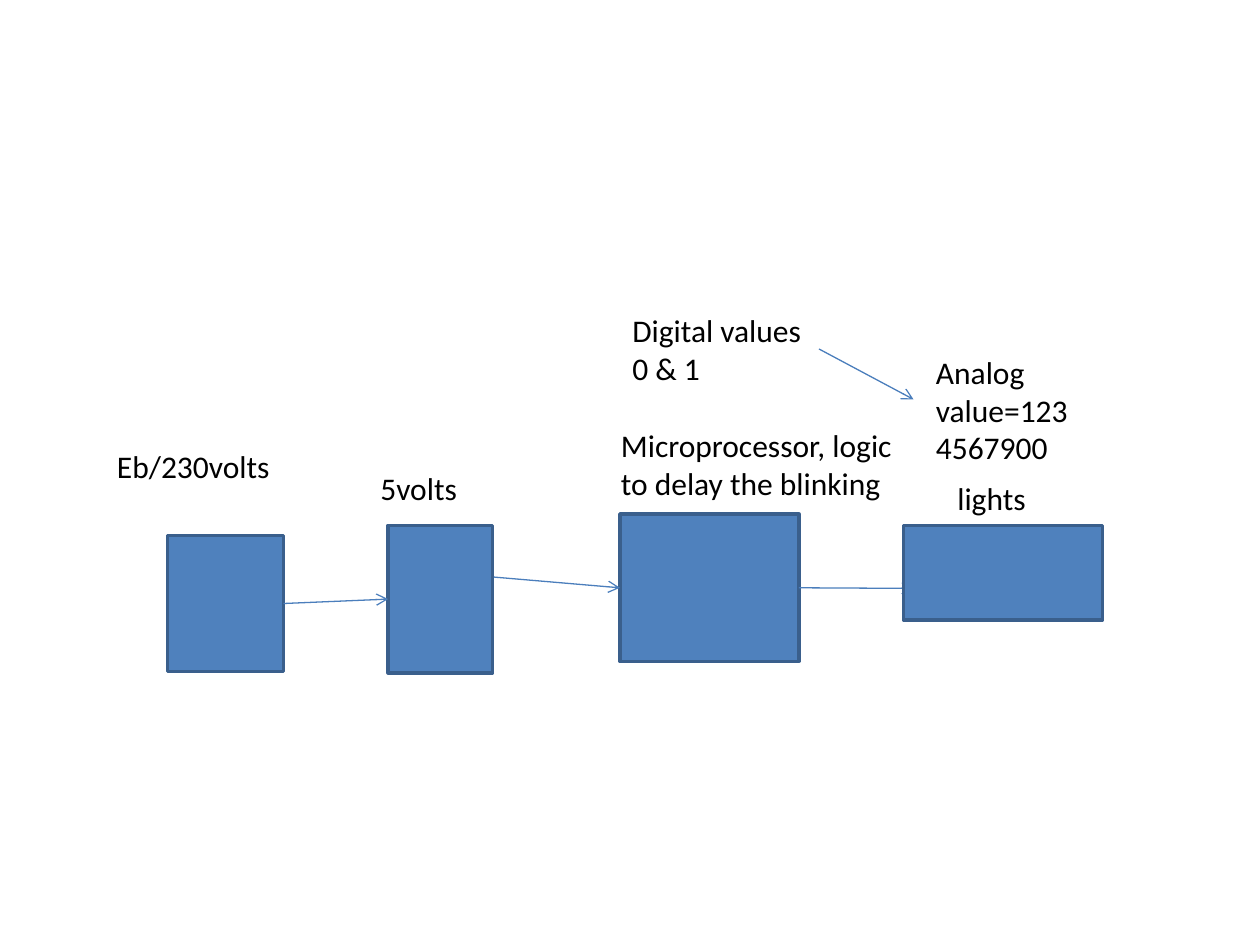
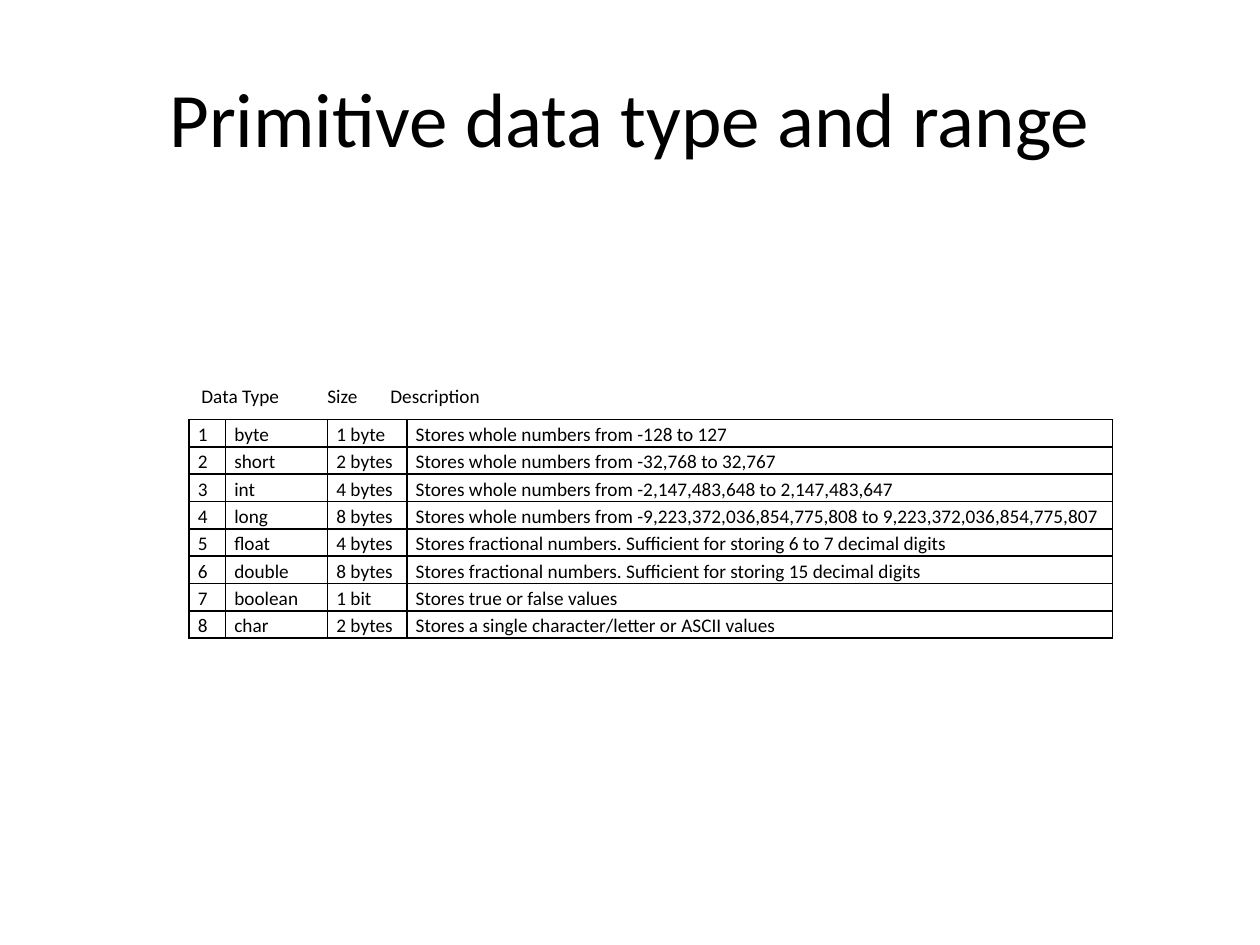
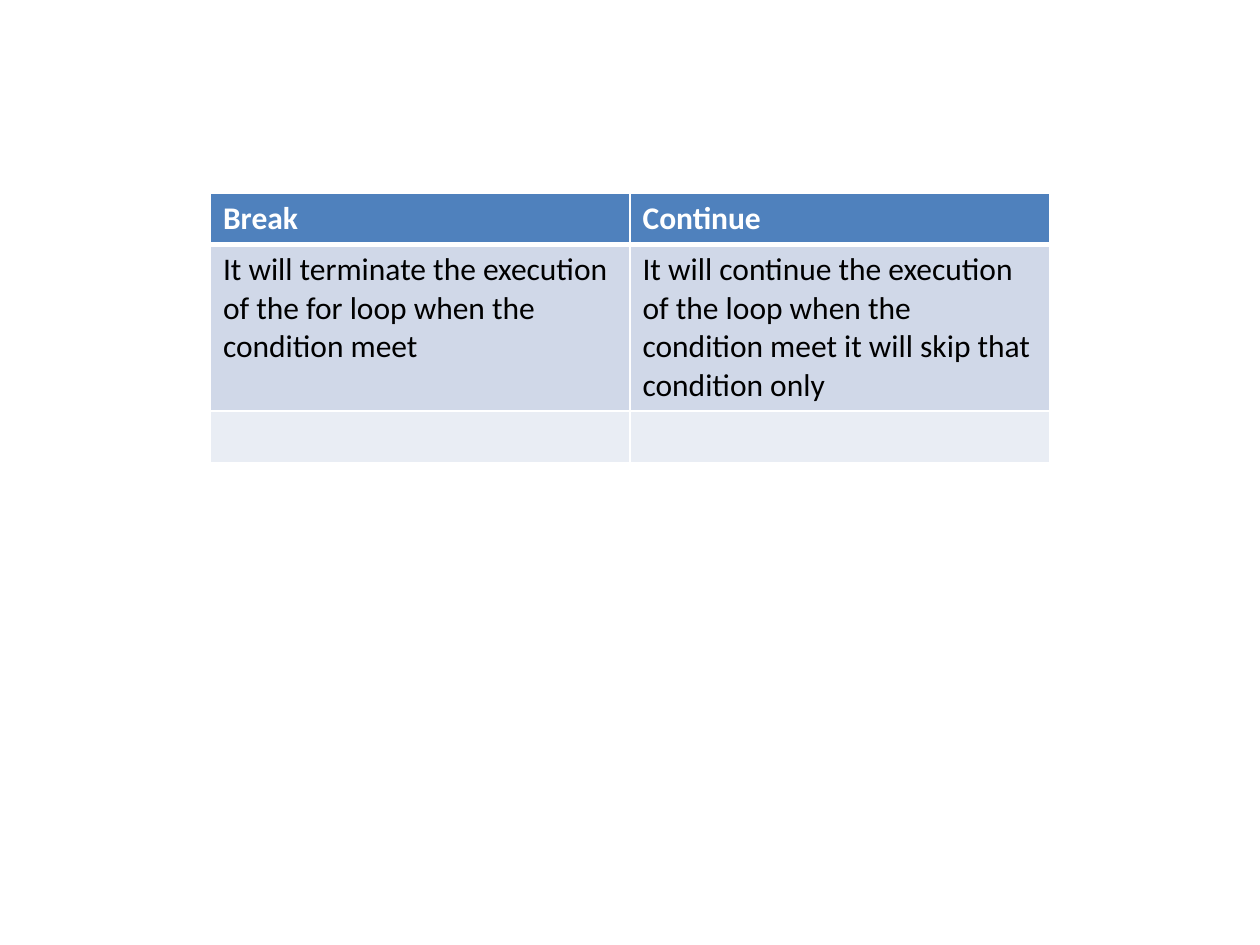
from lxml.etree import SubElement as Sub
from pptx import Presentation
from pptx.dml.color import RGBColor
from pptx.enum.shapes import MSO_CONNECTOR as Link, MSO_SHAPE as Shape
from pptx.enum.text import MSO_ANCHOR as Anchor, MSO_AUTO_SIZE as Fit, PP_ALIGN as Align
from pptx.oxml import parse_xml
from pptx.oxml.ns import nsdecls, qn
from pptx.util import Inches, Pt

FONT = "Calibri"
BLACK = RGBColor(0x00, 0x00, 0x00)
WHITE = RGBColor(0xFF, 0xFF, 0xFF)
BLUE = RGBColor(0x4F, 0x81, 0xBD)
EDGE = RGBColor(0x3A, 0x5F, 0x8C)
WIRE = RGBColor(0x4B, 0x7E, 0xBC)
BAND = RGBColor(0xD0, 0xD8, 0xE8)
PALE = RGBColor(0xE9, 0xED, 0xF4)


def write(frame, text, size=18, color=BLACK, bold=False, align=Align.LEFT, space=None):
    """Put one formatted paragraph in a text frame."""
    para = frame.paragraphs[0]
    para.alignment = align
    if space:
        para.line_spacing = space
    run = para.add_run()
    run.text = text
    font = run.font
    font.name, font.size, font.bold = FONT, Pt(size), bold
    font.color.rgb = color


def border(cell, color, **widths):
    """Draw the cell's sides; widths are points by side: L, R, T, B."""
    props = cell._tc.get_or_add_tcPr()
    for spot, (side, width) in enumerate(widths.items()):
        props.insert(spot, parse_xml(
            f'<a:ln{side} {nsdecls("a")} w="{Pt(width)}"><a:solidFill>'
            f'<a:srgbClr val="{color}"/></a:solidFill></a:ln{side}>'))


class Deck:
    def __init__(self):
        self.show = Presentation()
        self.show.slide_width, self.show.slide_height = Inches(10), Inches(7.5)
        self.shapes = None

    def slide(self):
        self.shapes = self.show.slides.add_slide(self.show.slide_layouts[6]).shapes

    def label(self, text, left, top, width, height, anchor=Anchor.TOP, fit=True, **style):
        box = self.shapes.add_textbox(*map(Inches, (left, top, width, height)))
        frame = box.text_frame
        frame.word_wrap = True
        frame.auto_size = Fit.SHAPE_TO_FIT_TEXT if fit else Fit.NONE
        frame.vertical_anchor = anchor
        write(frame, text, **style)

    def title(self, text):
        self.label(text, 0.5, 0.3, 9, 1.25, Anchor.MIDDLE, fit=False,
                   size=44, align=Align.CENTER)

    def block(self, left, top, width, height):
        box = self.shapes.add_shape(Shape.RECTANGLE, *map(Inches, (left, top, width, height)))
        box.shadow.inherit = False
        box.fill.solid()
        box.fill.fore_color.rgb = BLUE
        box.line.color.rgb = EDGE
        box.line.width = Pt(2)
        return box

    def arrow(self, start, end, tail=None, head=None):
        """Draw an arrow, joined to the right of tail and the left of head."""
        wire = self.shapes.add_connector(Link.STRAIGHT, *map(Inches, (*start, *end)))
        wire.line.color.rgb = WIRE
        wire.line.width = Pt(0.75)
        Sub(wire.line._get_or_add_ln(), qn("a:tailEnd"), type="arrow")
        Sub(wire._element.spPr, qn("a:effectLst"))
        if tail:
            wire.begin_connect(tail, 3)
        if head:
            wire.end_connect(head, 1)

    def table(self, rows, left, top, widths, height):
        """Add a plain table and return its grid."""
        size = sum(widths), height * len(rows)
        grid = self.shapes.add_table(len(rows), len(widths),
                                     *map(Inches, (left, top, *size))).table
        grid.first_row = grid.horz_banding = False
        for col, width in zip(grid.columns, widths):
            col.width = Inches(width)
        for row in grid.rows:
            row.height = Inches(height)
        return grid


def circuit(deck):
    deck.slide()
    # Power supply
    mains = deck.block(1.33, 4.25, 0.92, 1.08)
    supply = deck.block(3.08, 4.17, 0.83, 1.17)
    deck.arrow((2.25, 4.79), (3.08, 4.75), mains, supply)
    deck.label("Eb/230volts", 0.83, 3.5, 1.58, 0.4)
    deck.label("5volts", 2.92, 3.67, 1.08, 0.4)
    # Logic
    chip = deck.block(4.92, 4.08, 1.42, 1.17)
    deck.arrow((3.92, 4.58), (4.92, 4.67), head=chip)
    deck.label("Microprocessor, logic to delay the blinking", 4.83, 3.33, 2.5, 0.71)
    # Lights, drawn over the end of their wire
    deck.arrow((6.33, 4.67), (7.25, 4.67), tail=chip)
    deck.block(7.17, 4.17, 1.58, 0.75)
    deck.label("lights", 7.5, 3.75, 0.83, 0.4)
    # Signal values
    deck.label("Analog value=1234567900", 7.33, 2.75, 1.33, 1.01)
    deck.label("Digital values 0 & 1", 4.92, 2.42, 1.58, 0.71)
    deck.arrow((6.5, 2.77), (7.25, 3.17))


def types(deck):
    deck.slide()
    deck.title("Primitive data type and range")
    whole = "Stores whole numbers from "
    parts = "Stores fractional numbers. Sufficient for storing "
    rows = [
        ("byte", "1 byte", whole + "-128 to 127"),
        ("short", "2 bytes", whole + "-32,768 to 32,767"),
        ("int", "4 bytes", whole + "-2,147,483,648 to 2,147,483,647"),
        ("long", "8 bytes", whole + "-9,223,372,036,854,775,808 to 9,223,372,036,854,775,807"),
        ("float", "4 bytes", parts + "6 to 7 decimal digits"),
        ("double", "8 bytes", parts + "15 decimal digits"),
        ("boolean", "1 bit", "Stores true or false values"),
        ("char", "2 bytes", "Stores a single character/letter or ASCII values"),
    ]
    grid = deck.table(rows, 1.5, 3.33, (0.29, 0.81, 0.63, 5.6), 0.21)
    for r, row in enumerate(rows):
        for c, text in enumerate((str(r + 1), *row)):
            cell = grid.cell(r, c)
            cell.fill.background()
            cell.margin_left = cell.margin_right = Inches(0.07)
            cell.margin_top = cell.margin_bottom = 0
            border(cell, BLACK, L=1, R=1, T=1, B=1)
            write(cell.text_frame, text, size=11, space=1.15)
    deck.label("Data Type\tSize\tDescription", 1.5, 3, 6.67, 0.29, Anchor.MIDDLE, size=11)


def loops(deck):
    deck.slide()
    rows = [
        ("Break", "Continue"),
        ("It will terminate the execution of the for loop when the condition meet",
         "It will continue the execution of the loop when the condition meet "
         "it will skip that condition only"),
        ("", ""),
    ]
    grid = deck.table(rows, 1.67, 1.53, (3.33, 3.33), 0.41)
    for r, (row, fill) in enumerate(zip(rows, (BLUE, BAND, PALE))):
        head = r == 0
        for c, text in enumerate(row):
            cell = grid.cell(r, c)
            cell.fill.solid()
            cell.fill.fore_color.rgb = fill
            # The heavy rule lies between the header and the first row
            border(cell, WHITE, L=1, R=1, T=3 if r == 1 else 1, B=3 if head else 1)
            if text:
                write(cell.text_frame, text, color=WHITE if head else BLACK, bold=head)


def main():
    deck = Deck()
    circuit(deck)
    types(deck)
    loops(deck)
    deck.show.save("out.pptx")


if __name__ == "__main__":
    main()
